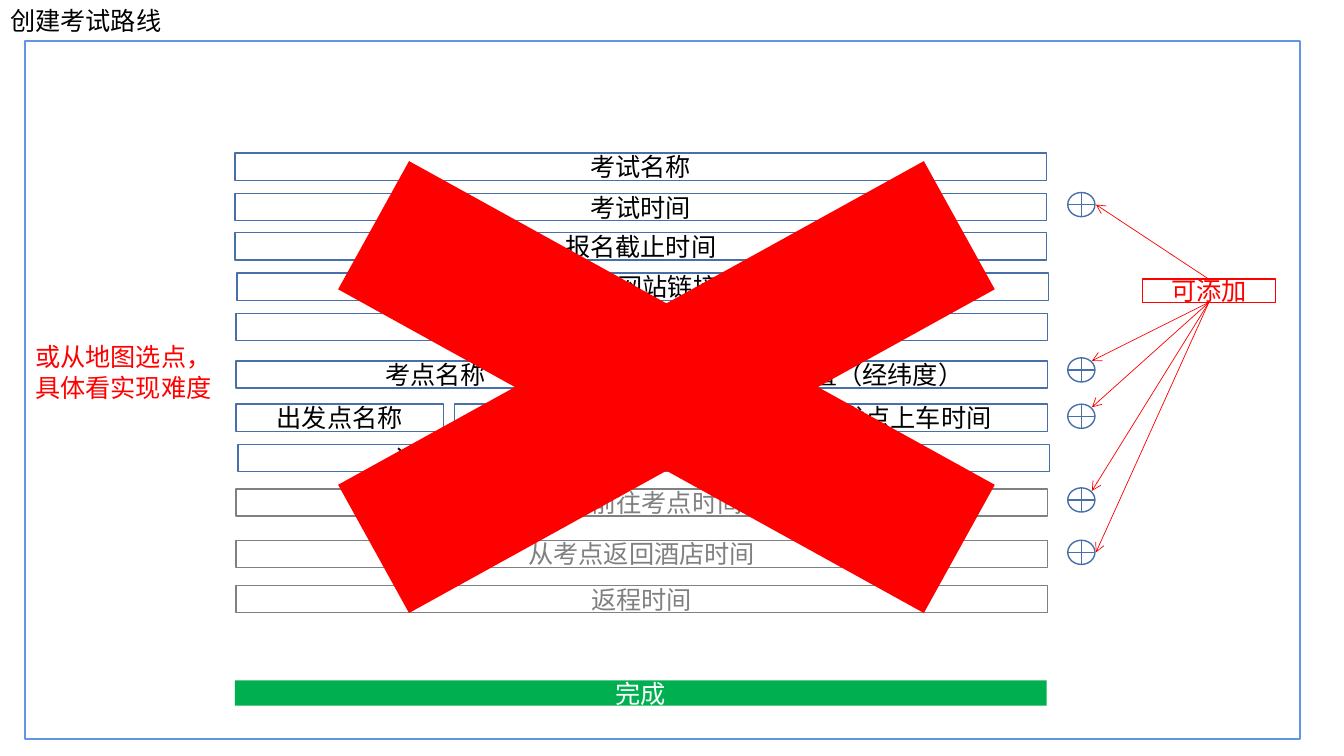
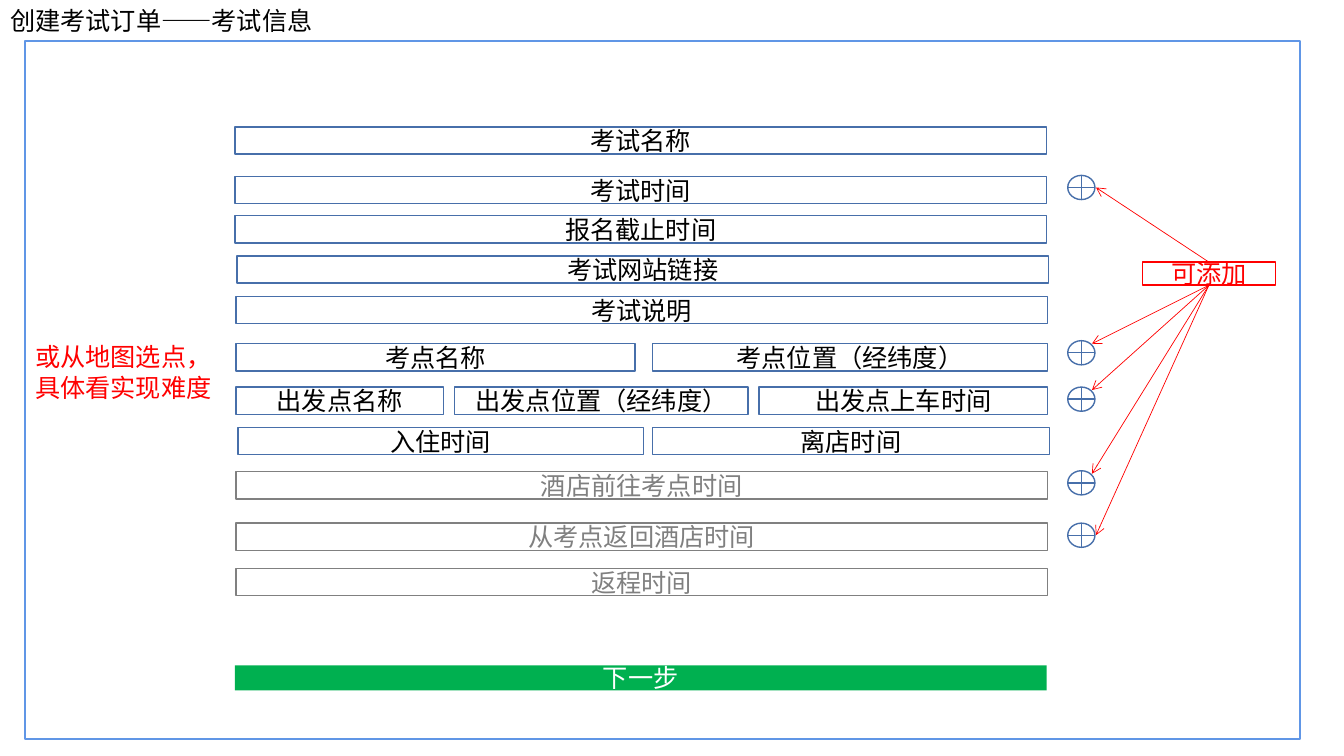
from dataclasses import dataclass

from lxml import etree
from pptx import Presentation
from pptx.dml.color import RGBColor
from pptx.enum.shapes import MSO_CONNECTOR, MSO_SHAPE
from pptx.enum.text import MSO_ANCHOR, MSO_AUTO_SIZE, PP_ALIGN
from pptx.oxml.ns import qn
from pptx.util import Inches, Pt

RECTANGLE = MSO_SHAPE.RECTANGLE
PLUS_CIRCLE = MSO_SHAPE.FLOWCHART_OR
CROSS = MSO_SHAPE.MATH_MULTIPLY
STRAIGHT = MSO_CONNECTOR.STRAIGHT
LEFT, CENTER = PP_ALIGN.LEFT, PP_ALIGN.CENTER
TOP, MIDDLE = MSO_ANCHOR.TOP, MSO_ANCHOR.MIDDLE


@dataclass(frozen=True)
class Theme:
    font: str = "Arial"
    size: float = 18
    ink: str = "000000"
    frame: str = "6096E6"
    field: str = "476FAA"
    muted: str = "808080"
    accent: str = "FF0000"
    button: str = "00B050"
    paper: str = "FFFFFF"
    frame_line: float = 1.5
    field_line: float = 1
    arrow_line: float = 0.5


@dataclass(frozen=True)
class Row:
    """One line of form fields: (width, label) cells with an equal gap."""
    top: float
    cells: tuple
    left: float = 2.34
    gap: float = 0
    muted: bool = False


@dataclass(frozen=True)
class FormPage:
    title: str
    name_top: float
    shift: float
    button_top: float
    button: str
    blank_labels: tuple = ()
    crossed: bool = False


THEME = Theme()

# Form grid, in inches
TITLE_WIDTH, TITLE_HEIGHT = 6, 0.4
FORM_LEFT, FORM_WIDTH, FIELD_HEIGHT = 2.33, 8.05, 0.27
BUTTON_HEIGHT = 0.25
PLUS_LEFT, PLUS_WIDTH, PLUS_HEIGHT = 10.59, 0.27, 0.24
ADD_LEFT, ADD_TOP, ADD_WIDTH, ADD_HEIGHT = 11.33, 2.6, 1.32, 0.23

NAME_LABEL = "考试名称"
ROWS = (
    Row(1.75, ((FORM_WIDTH, "考试时间"),), left=FORM_LEFT),
    Row(2.14, ((FORM_WIDTH, "报名截止时间"),), left=FORM_LEFT),
    Row(2.54, ((FORM_WIDTH, "考试网站链接"),), left=2.35),
    Row(2.94, ((FORM_WIDTH, "考试说明"),)),
    Row(3.41, ((3.96, "考点名称"), (3.92, "考点位置（经纬度）")), gap=0.17),
    Row(3.84, ((2.06, "出发点名称"), (2.91, "出发点位置（经纬度）"),
               (2.86, "出发点上车时间")), gap=0.11),
    Row(4.24, ((4.02, "入住时间"), (3.94, "离店时间")), left=2.36, gap=0.09),
    Row(4.68, ((FORM_WIDTH, "酒店前往考点时间"),), muted=True),
    Row(5.19, ((FORM_WIDTH, "从考点返回酒店时间"),), muted=True),
    Row(5.64, ((FORM_WIDTH, "返程时间"),), muted=True),
)

# Where an arrow meets a plus circle, measured from its top left corner
SIDE, CORNER = (0.28, 0.12), (0.24, 0.03)
PLUSES = ((1.74, SIDE), (3.38, CORNER), (3.84, CORNER), (4.67, CORNER), (5.19, SIDE))

PAGES = (
    FormPage("创建考试路线", name_top=1.52, shift=0.17, button_top=6.75,
             button="完成", blank_labels=("考试说明", "离店时间"), crossed=True),
    FormPage("创建考试订单——考试信息", name_top=1.26, shift=0,
             button_top=6.6, button="下一步"),
)


def color(value):
    return RGBColor.from_string(value)


def write(box, text, ink=THEME.ink, align=LEFT, anchor=TOP):
    frame = box.text_frame
    frame.word_wrap = True
    frame.auto_size = MSO_AUTO_SIZE.NONE
    frame.vertical_anchor = anchor
    para = frame.paragraphs[0]
    para.alignment = align
    span = para.add_run()
    span.text = text
    span.font.name = THEME.font
    span.font.size = Pt(THEME.size)
    span.font.color.rgb = color(ink)


def add_box(page, left, top, width, height, kind=RECTANGLE, fill=None, line=None,
            weight=THEME.field_line, text="", ink=THEME.ink):
    box = page.shapes.add_shape(kind, *map(Inches, (left, top, width, height)))
    box.shadow.inherit = False
    if fill:
        box.fill.solid()
        box.fill.fore_color.rgb = color(fill)
    else:
        box.fill.background()
    if line:
        box.line.color.rgb = color(line)
        box.line.width = Pt(weight)
    else:
        box.line.fill.background()
    if text:
        write(box, text, ink=ink, align=CENTER, anchor=MIDDLE)


def add_arrow(page, start, end):
    arrow = page.shapes.add_connector(STRAIGHT, *map(Inches, (*start, *end)))
    arrow.line.color.rgb = color(THEME.accent)
    arrow.line.width = Pt(THEME.arrow_line)
    outline = arrow.line._get_or_add_ln()
    etree.SubElement(outline, qn("a:tailEnd"), type="arrow")
    etree.SubElement(arrow._element.spPr, qn("a:effectLst"))


def add_title(page, text):
    title = page.shapes.title
    title.left, title.top = Inches(0), Inches(0)
    title.width, title.height = Inches(TITLE_WIDTH), Inches(TITLE_HEIGHT)
    write(title, text)


def add_note(page, text):
    note = page.shapes.add_textbox(*map(Inches, (0.25, 3.34, 2.1, 0.71)))
    write(note, text, ink=THEME.accent)


def add_row(page, row, form):
    left = row.left
    for width, label in row.cells:
        add_box(page, left, row.top + form.shift, width, FIELD_HEIGHT,
                fill=THEME.paper if row.muted else None,
                line=THEME.muted if row.muted else THEME.field,
                text="" if label in form.blank_labels else label,
                ink=THEME.muted if row.muted else THEME.ink)
        left += width + row.gap


def add_plus_marks(page, shift):
    """Plus circles, the label that explains them, and its arrows."""
    label_top = ADD_TOP + shift
    label_middle = ADD_LEFT + ADD_WIDTH / 2
    add_box(page, ADD_LEFT, label_top, ADD_WIDTH, ADD_HEIGHT,
            line=THEME.accent, text="可添加", ink=THEME.accent)
    for base_top, (reach_x, reach_y) in PLUSES:
        top = base_top + shift
        add_box(page, PLUS_LEFT, top, PLUS_WIDTH, PLUS_HEIGHT,
                kind=PLUS_CIRCLE, line=THEME.field)
        start_top = label_top if top < label_top else label_top + ADD_HEIGHT
        add_arrow(page, (label_middle, start_top), (PLUS_LEFT + reach_x, top + reach_y))


def add_form_page(deck, form):
    page = deck.slides.add_slide(deck.slide_layouts[5])
    # Title and frame
    add_title(page, form.title)
    add_box(page, 0.25, 0.41, 12.64, 6.92, line=THEME.frame, weight=THEME.frame_line)
    # Form fields
    add_box(page, FORM_LEFT, form.name_top, FORM_WIDTH, FIELD_HEIGHT,
            line=THEME.field, text=NAME_LABEL)
    for row in ROWS:
        add_row(page, row, form)
    # Annotations
    add_note(page, "或从地图选点，具体看实现难度")
    add_plus_marks(page, form.shift)
    # Button, and the cross over a rejected page
    add_box(page, FORM_LEFT, form.button_top, FORM_WIDTH, BUTTON_HEIGHT,
            fill=THEME.button, text=form.button, ink=THEME.paper)
    if form.crossed:
        add_box(page, 1.02, 0.75, 11.18, 6.18, kind=CROSS, fill=THEME.accent)


def main():
    deck = Presentation()
    deck.slide_width, deck.slide_height = Inches(13.33), Inches(7.5)
    for form in PAGES:
        add_form_page(deck, form)
    deck.save("out.pptx")


if __name__ == "__main__":
    main()
